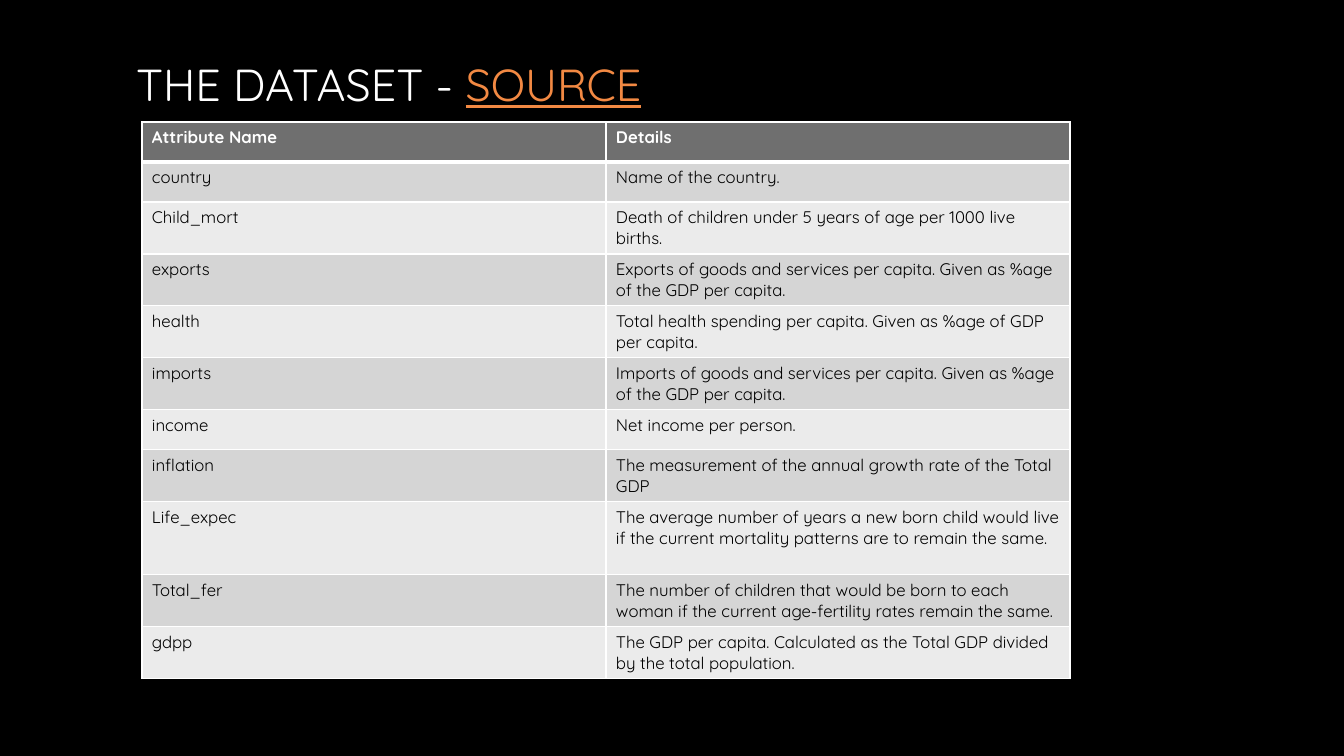
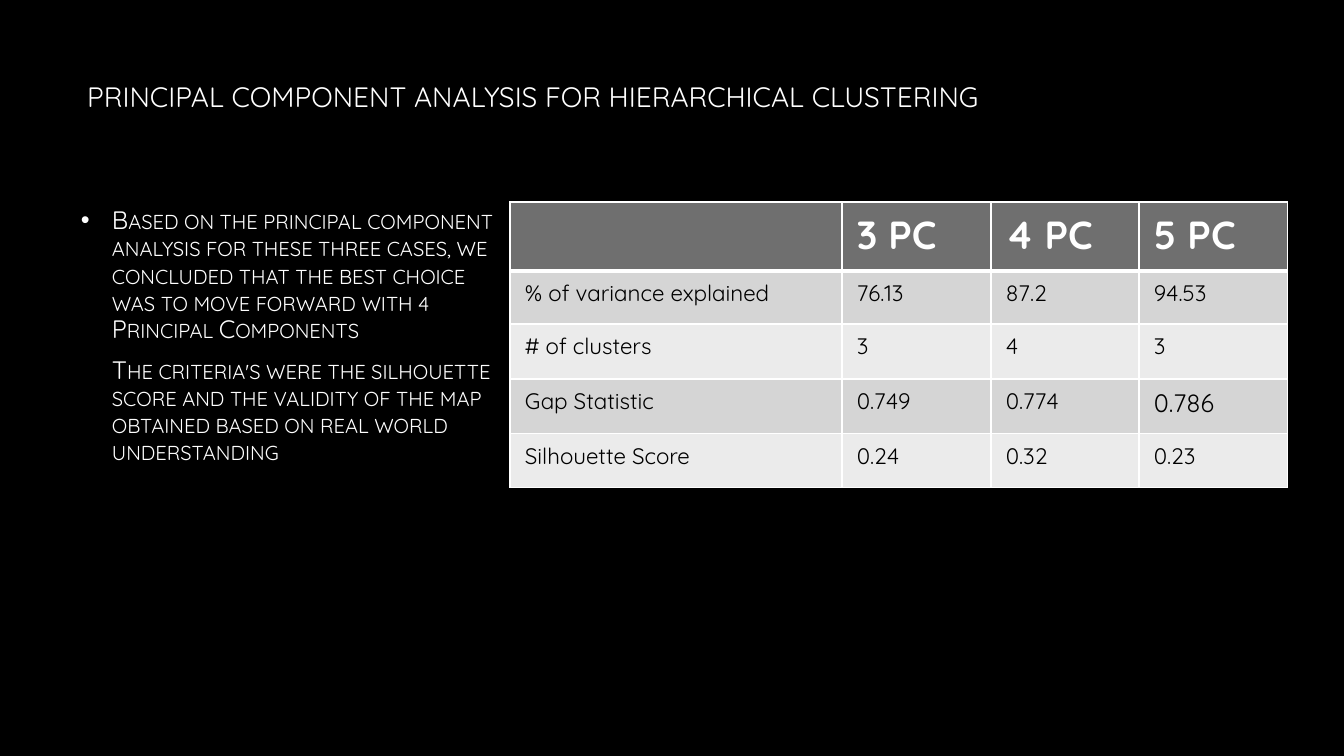
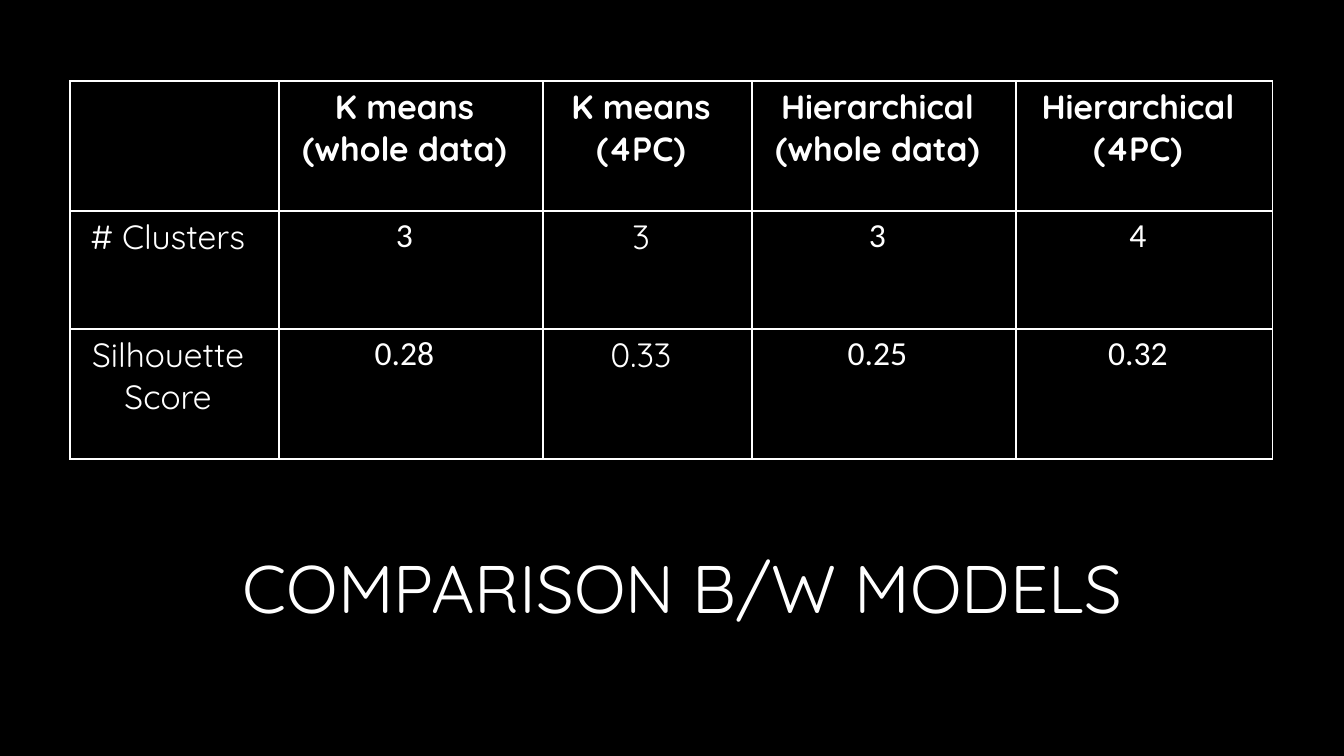
import dataclasses

import lxml.etree
import pptx
import pptx.dml.color
import pptx.enum.text
import pptx.oxml.ns
import pptx.util

ALIGN = pptx.enum.text.PP_ALIGN
ANCHOR = pptx.enum.text.MSO_ANCHOR
qn = pptx.oxml.ns.qn
EMU_PER_PX = 914400 / 100.8


@dataclasses.dataclass(frozen=True)
class Theme:
    background: str = "000000"
    light: str = "FFFFFF"
    dark: str = "000000"
    accent: str = "F28943"
    header: str = "6F6F6F"
    bands: tuple = ("D5D5D5", "EBEBEB")
    font: str = "Quicksand"
    number_font: str = "Calibri"
    body_size: int = 18
    grid_line: int = 1
    header_line: int = 3


THEME = Theme()

# Content
TITLES = {
    "dataset": dict(
        pieces=[("THE DATASET - ", {}), ("SOURCE", dict(color=THEME.accent, underline=True))],
        at=(126, -21, 1092, 210), size=32),
    "components": dict(
        pieces=[("PRINCIPAL COMPONENT ANALYSIS FOR HIERARCHICAL CLUSTERING", {})],
        at=(77, 25, 934, 142), size=20),
    "comparison": dict(
        pieces=[("COMPARISON B/W MODELS", {})],
        at=(204, 514, 957, 118), size=48, align=ALIGN.CENTER, anchor=ANCHOR.BOTTOM),
}

ATTRIBUTES = dict(
    origin=(142, 122), columns=[464, 464],
    heights=[40, 40, 52, 52, 52, 52, 40, 52, 73, 52, 52],
    insets=(10, 5, 10, 5), header_size=12, size=12,
    rows=[
        ("Attribute Name", "Details"),
        ("country", "Name of the country."),
        ("Child_mort", "Death of children under 5 years of age per 1000 live births."),
        ("exports", "Exports of goods and services per capita. Given as %age of the GDP per capita."),
        ("health", "Total health spending per capita. Given as %age of GDP per capita."),
        ("imports", "Imports of goods and services per capita. Given as %age of the GDP per capita."),
        ("income", "Net income per person."),
        ("inflation", "The measurement of the annual growth rate of the Total GDP"),
        ("Life_expec", "The average number of years a new born child would live if the current "
                       "mortality patterns are to remain the same."),
        ("Total_fer", "The number of children that would be born to each woman if the current "
                      "age-fertility rates remain the same."),
        ("gdpp", "The GDP per capita. Calculated as the Total GDP divided by the total population."),
    ])

COMPONENTS = dict(
    origin=(510, 202), columns=[332, 149, 148, 149], heights=[69, 53, 55, 55, 54],
    insets=(15, 8, 15, 8), header_size=28, size=16,
    overrides={(3, 3): dict(size=18)},
    rows=[
        ("", "3 PC", "4 PC", "5 PC"),
        ("% of variance explained", "76.13", "87.2", "94.53"),
        ("# of clusters", "3", "4", "3"),
        ("Gap Statistic", "0.749", "0.774", "0.786"),
        ("Silhouette Score", "0.24", "0.32", "0.23"),
    ])

MODELS = dict(
    origin=(70, 81), columns=[209, 264, 209, 264, 257], heights=[130, 118, 130],
    insets=(0, 5, 13, 40), header_size=24, size=24, align=ALIGN.CENTER, banded=False,
    overrides={(row, column): dict(font=THEME.number_font)
               for row in (1, 2) for column in (1, 3, 4)},
    rows=[
        ("", "K means (whole data)", "K means\n(4PC)", "Hierarchical (whole data)",
         "Hierarchical (4PC)"),
        ("# Clusters", "3", "3", "3", "4"),
        ("Silhouette Score", "0.28", "0.33", "0.25", "0.32"),
    ])

FINDINGS_AT = (71, 203, 436, 385)
FINDINGS_INDENT = 31
FINDINGS = [  # text, bullet colour
    ("Based on the principal component analysis for these three cases, we concluded that "
     "the best choice was to move forward with 4 Principal Components", THEME.light),
    ("The criteria's were the silhouette score and the validity of the map obtained based "
     "on real world understanding", THEME.dark),
]


# Helpers
def px(length):
    return pptx.util.Emu(round(length * EMU_PER_PX))


def rgb(color):
    return pptx.dml.color.RGBColor.from_string(color)


def style_run(run, size, color=THEME.light, font=THEME.font, bold=False, underline=None):
    run.font.size = pptx.util.Pt(size)
    run.font.name = font
    run.font.bold = bold
    run.font.underline = underline
    run.font.color.rgb = rgb(color)


def add_text_shadow(run):
    properties = run.font._element
    effects = lxml.etree.Element(qn("a:effectLst"))
    shadow = lxml.etree.SubElement(effects, qn("a:outerShdw"), blurRad="38100",
                                   dist="25400", dir="2700000")
    shade = lxml.etree.SubElement(shadow, qn("a:srgbClr"), val="FFFFFF")
    lxml.etree.SubElement(shade, qn("a:alpha"), val="40000")
    properties.find(qn("a:solidFill")).addnext(effects)


def add_bullet(para, color):
    properties = para._p.get_or_add_pPr()
    properties.set("marL", str(px(FINDINGS_INDENT)))
    properties.set("indent", str(-px(FINDINGS_INDENT)))
    bullet_color = lxml.etree.SubElement(properties, qn("a:buClr"))
    lxml.etree.SubElement(bullet_color, qn("a:srgbClr"), val=color)
    lxml.etree.SubElement(properties, qn("a:buFont"), typeface="Arial")
    lxml.etree.SubElement(properties, qn("a:buChar"), char="•")


def set_title(page, pieces, at, size, align=ALIGN.LEFT, anchor=ANCHOR.MIDDLE):
    title = page.shapes.title
    title.left, title.top, title.width, title.height = map(px, at)
    frame = title.text_frame
    frame.word_wrap = True
    frame.auto_size = pptx.enum.text.MSO_AUTO_SIZE.NONE
    frame.vertical_anchor = anchor
    para = frame.paragraphs[0]
    para.alignment = align
    for text, look in pieces:
        run = para.add_run()
        run.text = text
        style_run(run, size, **look)
        add_text_shadow(run)


def set_borders(cell, top, bottom):
    properties = cell._tc.get_or_add_tcPr()
    widths = {"L": THEME.grid_line, "R": THEME.grid_line, "T": top, "B": bottom}
    for side, width in widths.items():
        line = lxml.etree.SubElement(properties, qn("a:ln" + side),
                                     w=str(pptx.util.Pt(width)))
        fill = lxml.etree.SubElement(line, qn("a:solidFill"))
        lxml.etree.SubElement(fill, qn("a:srgbClr"), val=THEME.light)


def add_grid(page, origin, columns, heights, insets, header_size, size, rows,
             align=ALIGN.LEFT, banded=True, overrides={}):
    box = (*origin, sum(columns), sum(heights))
    table = page.shapes.add_table(len(rows), len(columns), *map(px, box)).table
    table.first_row = banded
    table.horz_banding = False
    for column, width in zip(table.columns, columns):
        column.width = px(width)
    rule = THEME.header_line if banded else THEME.grid_line
    for r, texts in enumerate(rows):
        table.rows[r].height = px(heights[r])
        for c, text in enumerate(texts):
            cell = table.cell(r, c)
            set_borders(cell, top=rule if r == 1 else THEME.grid_line,
                        bottom=rule if r == 0 else THEME.grid_line)
            if banded:
                cell.fill.solid()
                cell.fill.fore_color.rgb = rgb(THEME.bands[(r - 1) % 2] if r else THEME.header)
            else:
                cell.fill.background()
            (cell.margin_left, cell.margin_top,
             cell.margin_right, cell.margin_bottom) = map(px, insets)
            look = dict(size=size if r else header_size, bold=r == 0,
                        color=THEME.dark if banded and r else THEME.light)
            look.update(overrides.get((r, c), {}))
            cell.text_frame.text = text
            for para in cell.text_frame.paragraphs:
                para.alignment = align
                for run in para.runs:
                    style_run(run, **look)


def add_findings(page):
    frame = page.shapes.add_textbox(*map(px, FINDINGS_AT)).text_frame
    frame.word_wrap = True
    for index, (text, bullet_color) in enumerate(FINDINGS):
        para = frame.add_paragraph() if index else frame.paragraphs[0]
        para.text = text
        add_bullet(para, bullet_color)
        para.line_spacing = 0.9
        para.space_after = pptx.util.Pt(6)
        if index:
            para.space_before = pptx.util.Pt(3.6)
        run = para.runs[0]
        style_run(run, THEME.body_size)
        run.font._element.set("cap", "small")
        add_text_shadow(run)


def main():
    deck = pptx.Presentation()
    deck.slide_width, deck.slide_height = px(1344), px(756)
    backdrop = deck.slide_master.background.fill
    backdrop.solid()
    backdrop.fore_color.rgb = rgb(THEME.background)
    title_only = deck.slide_layouts.get_by_name("Title Only")

    grids = {"dataset": ATTRIBUTES, "components": COMPONENTS, "comparison": MODELS}
    for name, grid in grids.items():
        page = deck.slides.add_slide(title_only)
        set_title(page, **TITLES[name])
        if name == "components":
            add_findings(page)
        add_grid(page, **grid)

    deck.save("out.pptx")


if __name__ == "__main__":
    main()
